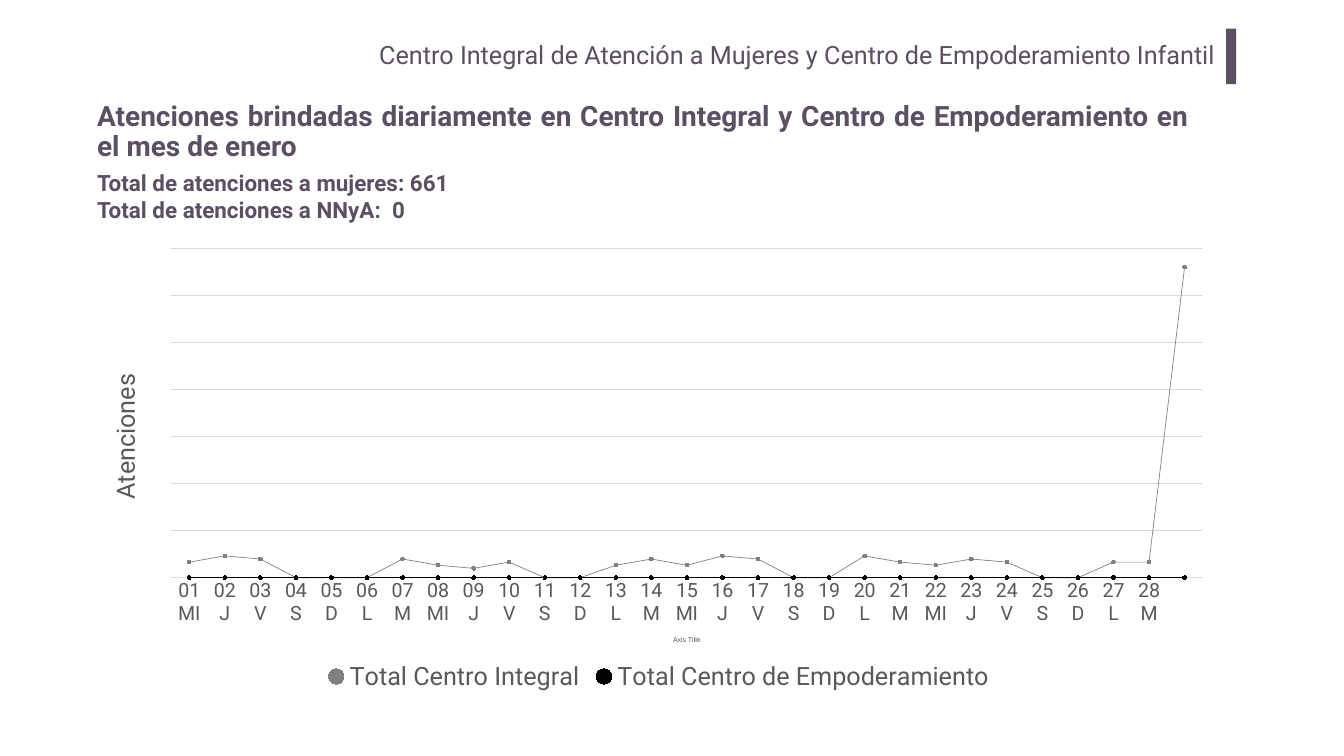
import pptx
import pptx.chart.data
import pptx.dml.color
import pptx.enum.chart
import pptx.enum.shapes
import pptx.enum.text
import pptx.oxml
import pptx.oxml.ns
import pptx.util

Pt = pptx.util.Pt
RGB = pptx.dml.color.RGBColor.from_string
Align = pptx.enum.text.PP_ALIGN
Anchor = pptx.enum.text.MSO_ANCHOR

THEME = {
    "font": "Roboto", "small font": "Arial",
    "plum": RGB("5B4F63"), "text": RGB("595959"), "grid": RGB("D9D9D9"),
    "women": RGB("808080"), "kids": RGB("000000"),
    "head": Pt(36), "title": Pt(40), "total": Pt(32), "days": Pt(28), "tiny": Pt(10),
}

deck = pptx.Presentation()
deck.slide_width = pptx.util.Inches(26.67)
deck.slide_height = pptx.util.Inches(15)
slide = deck.slides.add_slide(deck.slide_layouts[6])


def area(left, top, width, height):
    """Turn percentages of the slide into a position and size."""
    wide, high = deck.slide_width / 100, deck.slide_height / 100
    return int(left * wide), int(top * high), int(width * wide), int(height * high)


def style(font, size, color, face=THEME["font"], bold=False):
    font.size, font.name, font.bold = size, face, bold
    font.color.rgb = color


# Text boxes: place, lines, size, bold, alignment, anchor, line spacing, inset
LEFT = 6.86
boxes = [
    ((15.04, 4.47, 76.12, 6.8),
     ["Centro Integral de Atención a Mujeres y Centro de Empoderamiento Infantil"],
     "head", False, Align.RIGHT, Anchor.TOP, None, 0.2),
    ((LEFT, 12.73, 81.93, 9.67),
     ["Atenciones brindadas diariamente en Centro Integral y Centro de "
      "Empoderamiento en el mes de enero"],
     "title", True, Align.JUSTIFY, Anchor.MIDDLE, 0.9, 0.1),
    ((LEFT, 22, 30.45, 7.87),
     ["Total de atenciones a mujeres: 661", "Total de atenciones a NNyA:  0"],
     "total", True, Align.LEFT, Anchor.TOP, None, 0.1),
]
for place, lines, size, bold, align, anchor, spacing, inset in boxes:
    frame = slide.shapes.add_textbox(*area(*place)).text_frame
    frame.word_wrap = True
    frame.vertical_anchor = anchor
    frame.margin_left = frame.margin_right = pptx.util.Inches(inset)
    frame.margin_top = frame.margin_bottom = pptx.util.Inches(inset / 2)
    frame.text = "\n".join(lines)
    for para in frame.paragraphs:
        para.alignment = align
        para.line_spacing = spacing
        style(para.font, THEME[size], THEME["plum"], bold=bold)

bar = slide.shapes.add_shape(
    pptx.enum.shapes.MSO_SHAPE.RECTANGLE, *area(91.23, 3.8, 0.75, 7.33))
bar.shadow.inherit = False
bar.fill.solid()
bar.fill.fore_color.rgb = THEME["plum"]
bar.line.fill.background()

# Daily chart: the last point has no day label
week = ["MI", "J", "V", "S", "D", "L", "M"]
women = [5, 7, 6, 0, 0, 0, 6, 4, 3, 5, 0, 0, 4, 6, 4,
         7, 6, 0, 0, 7, 5, 4, 6, 5, 0, 0, 5, 5, 100]
data = pptx.chart.data.CategoryChartData(number_format="0")
data.categories = [f"{day + 1:02}\n{week[day % 7]}" for day in range(28)] + [""]
data.add_series("Total Centro Integral", women)
data.add_series("Total Centro de Empoderamiento", [0] * len(women))
chart = slide.shapes.add_chart(
    pptx.enum.chart.XL_CHART_TYPE.LINE_MARKERS,
    *area(LEFT, 31.67, 84.29, 60.47), data).chart
style(chart.font, THEME["tiny"], THEME["kids"], THEME["small font"])
chart.has_title = False
chart.has_legend = True
chart.legend.position = pptx.enum.chart.XL_LEGEND_POSITION.BOTTOM
chart.legend.include_in_layout = False
style(chart.legend.font, THEME["head"], THEME["text"])
chart.plots[0].vary_by_categories = False

for line, color in zip(chart.plots[0].series, (THEME["women"], THEME["kids"])):
    line.smooth = False
    line.format.line.width = Pt(1)
    line.format.line.color.rgb = color
    mark = line.marker
    mark.style = pptx.enum.chart.XL_MARKER_STYLE.CIRCLE
    mark.size = 5
    mark.format.fill.solid()
    mark.format.fill.fore_color.rgb = color
    mark.format.line.color.rgb = color

days, count = chart.category_axis, chart.value_axis
days.major_tick_mark = pptx.enum.chart.XL_TICK_MARK.NONE
style(days.tick_labels.font, THEME["days"], THEME["text"])
count.visible = False
count.minimum_scale, count.maximum_scale, count.major_unit = 0, 106, 106 / 7
for rule in (days.format.line, count.major_gridlines.format.line):
    rule.width = Pt(0.75)
    rule.color.rgb = THEME["grid"]

titles = [(days, "Axis Title", "tiny", "small font"),
          (count, "Atenciones", "head", "font")]
for axis, words, size, face in titles:
    frame = axis.axis_title.text_frame
    frame.text = words
    style(frame.paragraphs[0].font, THEME[size], THEME["text"], THEME[face])
turn = count.axis_title.text_frame._txBody.bodyPr
turn.set("rot", "-5400000")
turn.set("vert", "horz")

# Fix the inner plot area as shares of the chart
sizes = {"x": 0.07, "y": 0.02, "w": 0.91, "h": 0.72}
modes = '<c:layoutTarget val="inner"/><c:xMode val="edge"/><c:yMode val="edge"/>'
parts = "".join(f'<c:{key} val="{share}"/>' for key, share in sizes.items())
plot = chart._chartSpace.chart.plotArea
for old in plot.findall(pptx.oxml.ns.qn("c:layout")):
    plot.remove(old)
plot.insert(0, pptx.oxml.parse_xml(
    f'<c:layout {pptx.oxml.ns.nsdecls("c")}><c:manualLayout>'
    f'{modes}{parts}</c:manualLayout></c:layout>'))

deck.save("out.pptx")
